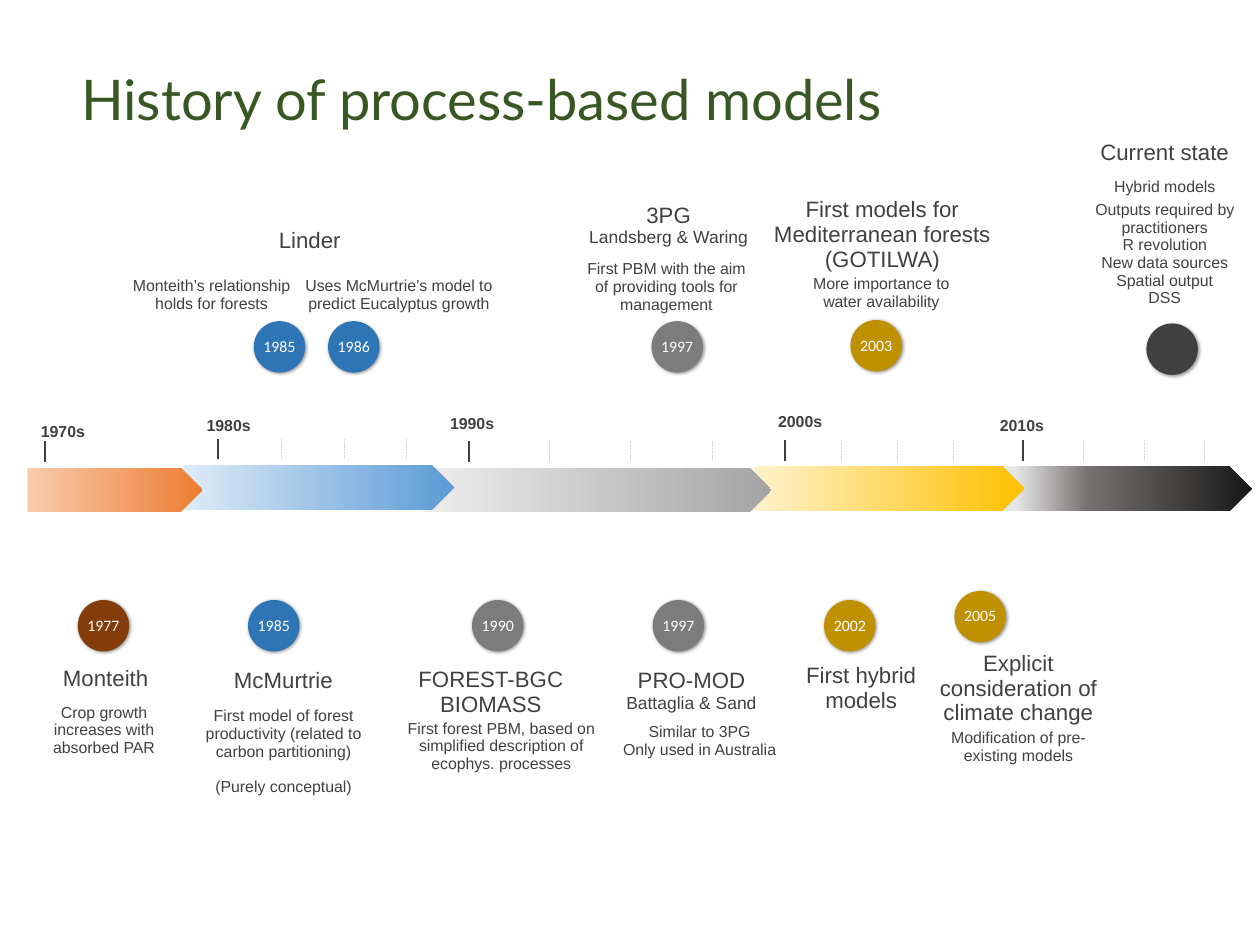
from dataclasses import dataclass

from lxml import etree
from pptx import Presentation
from pptx.dml.color import RGBColor
from pptx.enum.dml import MSO_LINE
from pptx.enum.shapes import MSO_CONNECTOR, MSO_SHAPE
from pptx.enum.text import MSO_ANCHOR, PP_ALIGN
from pptx.oxml import parse_xml
from pptx.oxml.ns import nsdecls, qn
from pptx.shapes.autoshape import Shape
from pptx.shapes.shapetree import SlideShapes
from pptx.text.text import TextFrame
from pptx.util import Inches, Pt

STRAIGHT = MSO_CONNECTOR.STRAIGHT
ARROW, OVAL = MSO_SHAPE.RIGHT_ARROW, MSO_SHAPE.OVAL
CENTER, LEFT = PP_ALIGN.CENTER, PP_ALIGN.LEFT
MIDDLE = MSO_ANCHOR.MIDDLE
DASH = MSO_LINE.SQUARE_DOT
CM_PER_INCH = 2.54
PAGE_WIDTH, PAGE_HEIGHT = Inches(28 / CM_PER_INCH), Inches(21 / CM_PER_INCH)


@dataclass(frozen=True)
class Theme:
    title_color: str = "385723"
    text: str = "404040"
    minor_tick: str = "D9D9D9"
    white: str = "FFFFFF"
    brown: str = "843C0B"
    blue: str = "2E75B6"
    gray: str = "7C7C7C"
    gold: str = "BF9000"
    title_font: str = "Lato"
    body_font: str = "Arial"
    year_font: str = "Calibri"
    title_size: float = 35.3
    heading_size: float = 14
    author_size: float = 11
    body_size: float = 10
    line_spacing: float = 0.93


THEME = Theme()


@dataclass(frozen=True)
class Line:
    text: str
    size: float = THEME.body_size
    bold: bool = False
    new_paragraph: bool = False
    space_before: float = 0
    font: str = THEME.body_font
    color: str = THEME.text


@dataclass(frozen=True)
class Caption:
    left: float
    top: float
    width: float
    height: float
    lines: list[Line]


@dataclass(frozen=True)
class Milestone:
    left: float
    top: float
    color: str
    year: str = ""


@dataclass(frozen=True)
class Decade:
    name: str
    label_left: float
    label_top: float
    left: float
    top: float
    width: float
    stops: list[tuple[int, str]]
    first_tick: float
    tick_gap: float = 0


def heading(*texts: str) -> list[Line]:
    return [Line(text, THEME.heading_size) for text in texts]


def body(*texts: str) -> list[Line]:
    return [Line(text) for text in texts]


def author(text: str, new_paragraph: bool = False) -> Line:
    return Line(text, THEME.author_size, new_paragraph=new_paragraph)


DECADES = [
    Decade("1970s", 0.24, 3.7, 0.24, 4.09, 1.53, [(0, "F8CBAD"), (100, "ED7D31")], 0.39),
    Decade("1980s", 1.69, 3.65, 1.61, 4.07, 2.36, [(0, "DEEBF7"), (100, "5B9BD5")], 1.91, 0.55),
    Decade("1990s", 3.82, 3.63, 3.71, 4.09, 3.04, [(0, "EDEDED"), (100, "A5A5A5")], 4.1, 0.71),
    Decade("2000s", 6.69, 3.62, 6.6, 4.08, 2.36, [(0, "FFF2CC"), (100, "FFC000")], 6.87, 0.49),
    Decade("2010s", 8.63, 3.65, 8.65, 4.08, 2.3,
           [(10, "E7E6E6"), (38, "767171"), (100, "181717")], 8.95, 0.53),
]

MILESTONES = [
    Milestone(2.22, 2.81, THEME.blue, "1985"),
    Milestone(2.87, 2.81, THEME.blue, "1986"),
    Milestone(5.7, 2.81, THEME.gray, "1997"),
    Milestone(7.44, 2.8, THEME.gold, "2003"),
    Milestone(10.03, 2.83, THEME.text),
    Milestone(0.68, 5.25, THEME.brown, "1977"),
    Milestone(2.17, 5.25, THEME.blue, "1985"),
    Milestone(4.13, 5.25, THEME.gray, "1990"),
    Milestone(5.71, 5.25, THEME.gray, "1997"),
    Milestone(7.21, 5.25, THEME.gold, "2002"),
    Milestone(8.35, 5.17, THEME.gold, "2005"),
]

CAPTIONS = [
    Caption(2, 2, 1.42, 0.22, heading("Linder")),
    Caption(1.14, 2.43, 1.42, 0.31, body("Monteith’s relationship", "holds for forests")),
    Caption(2.66, 2.43, 1.66, 0.31, body("Uses McMurtrie’s model to predict Eucalyptus growth")),
    Caption(5.14, 1.78, 1.42, 0.39, heading("3PG") + [author("Landsberg & Waring")]),
    Caption(5.12, 2.28, 1.42, 0.47,
            body("First PBM with the aim of providing tools for management")),
    Caption(6.76, 1.73, 1.92, 0.66,
            heading("First models for Mediterranean forests", "(GOTILWA)")),
    Caption(7, 2.41, 1.42, 0.31, body("More importance to water availability")),
    Caption(9.37, 1.23, 1.64, 0.22, heading("Current state")),
    Caption(9.37, 1.56, 1.64, 0.16, body("Hybrid models")),
    Caption(9.37, 1.76, 1.64, 0.93,
            body("Outputs required by practitioners", "R revolution", "New data sources",
                 "Spatial output", "DSS")),
    Caption(0.34, 5.83, 1.17, 0.22, heading("Monteith")),
    Caption(0.41, 6.16, 1, 0.47, body("Crop growth increases with absorbed PAR")),
    Caption(1.77, 5.85, 1.42, 0.22, heading("McMurtrie")),
    Caption(1.77, 6.19, 1.42, 0.78,
            body("First model of forest productivity (related to carbon partitioning)")
            + [Line("(Purely conceptual)", new_paragraph=True, space_before=11)]),
    Caption(3.41, 5.84, 1.77, 0.44, heading("FOREST-BGC", "BIOMASS")),
    Caption(3.5, 6.3, 1.77, 0.47,
            body("First forest PBM, based on simplified description of ecophys. processes")),
    Caption(5.34, 5.85, 1.42, 0.39,
            heading("PRO-MOD") + [author("Battaglia & Sand", new_paragraph=True)]),
    Caption(5.41, 6.33, 1.42, 0.31, body("Similar to 3PG", "Only used in Australia")),
    Caption(6.56, 5.81, 1.95, 0.44, heading("First hybrid", "models")),
    Caption(8.2, 5.7, 1.42, 0.66, heading("Explicit consideration of climate change")),
    Caption(8.2, 6.38, 1.42, 0.31, body("Modification of pre-existing models")),
]


def write_lines(frame: TextFrame, lines: list[Line], align: PP_ALIGN = CENTER) -> None:
    frame.margin_left = frame.margin_right = frame.margin_top = frame.margin_bottom = 0
    paragraph = frame.paragraphs[0]
    for index, line in enumerate(lines):
        if line.new_paragraph:
            paragraph = frame.add_paragraph()
            paragraph.space_before = Pt(line.space_before)
        elif index:
            paragraph.add_line_break()
        paragraph.alignment = align
        paragraph.line_spacing = THEME.line_spacing
        run = paragraph.add_run()
        run.text = line.text
        run.font.name, run.font.size, run.font.bold = line.font, Pt(line.size), line.bold
        run.font.color.rgb = RGBColor.from_string(line.color)


def add_caption(shapes: SlideShapes, caption: Caption) -> None:
    box = shapes.add_textbox(Inches(caption.left), Inches(caption.top),
                             Inches(caption.width), Inches(caption.height))
    box.text_frame.word_wrap = True
    write_lines(box.text_frame, caption.lines)


def add_plain_shape(shapes: SlideShapes, kind: MSO_SHAPE, left: float, top: float,
                    width: float, height: float) -> Shape:
    shape = shapes.add_shape(kind, Inches(left), Inches(top), Inches(width), Inches(height))
    shape.shadow.inherit = False
    shape.line.fill.background()
    return shape


def add_milestone(shapes: SlideShapes, milestone: Milestone) -> None:
    circle = add_plain_shape(shapes, OVAL, milestone.left, milestone.top, 0.45, 0.45)
    circle.fill.solid()
    circle.fill.fore_color.rgb = RGBColor.from_string(milestone.color)
    circle._element.spPr.find(qn("a:effectLst")).append(parse_xml(
        f'<a:outerShdw {nsdecls("a")} blurRad="25400" dist="12700" dir="2700000">'
        '<a:srgbClr val="000000"><a:alpha val="40000"/></a:srgbClr></a:outerShdw>'))
    if milestone.year:
        circle.text_frame.vertical_anchor = MIDDLE
        write_lines(circle.text_frame,
                    [Line(milestone.year, font=THEME.year_font, color=THEME.white)])


def add_tick(shapes: SlideShapes, x: float, top: float, major: bool) -> None:
    tick = shapes.add_connector(STRAIGHT, Inches(x), Inches(top), Inches(x), Inches(top + 0.18))
    tick.line.color.rgb = RGBColor.from_string(THEME.text if major else THEME.minor_tick)
    tick.line.width = Pt(1.25 if major else 0.5)
    if not major:
        tick.line.dash_style = DASH
    etree.SubElement(tick._element.spPr, qn("a:effectLst"))


def add_decade(shapes: SlideShapes, decade: Decade) -> None:
    arrow = add_plain_shape(shapes, ARROW, decade.left, decade.top, decade.width, 0.39)
    arrow.adjustments[0], arrow.adjustments[1] = 1, 0.5
    arrow.fill.gradient()
    arrow.fill.gradient_angle = 0
    stop_list = arrow._element.spPr.find(qn("a:gradFill")).find(qn("a:gsLst"))
    stop_list.clear()
    for percent, color in decade.stops:
        stop = etree.SubElement(stop_list, qn("a:gs"), pos=str(percent * 1000))
        etree.SubElement(stop, qn("a:srgbClr"), val=color)
    for index in range(4 if decade.tick_gap else 1):
        add_tick(shapes, decade.first_tick + index * decade.tick_gap, decade.top - 0.23, index == 0)
    add_caption(shapes, Caption(decade.label_left, decade.label_top, 0.62, 0.26,
                                [Line(decade.name, bold=True)]))


def main() -> None:
    deck = Presentation()
    deck.slide_width, deck.slide_height = PAGE_WIDTH, PAGE_HEIGHT
    shapes = deck.slides.add_slide(deck.slide_layouts[6]).shapes
    title = shapes.add_textbox(Inches(0.71), Inches(0.62), Inches(7.2), Inches(0.56))
    title.text_frame.word_wrap = False
    write_lines(title.text_frame, [Line("History of process-based models", THEME.title_size,
                font=THEME.title_font, color=THEME.title_color)], LEFT)
    for decade in reversed(DECADES):
        add_decade(shapes, decade)
    for milestone in MILESTONES:
        add_milestone(shapes, milestone)
    for caption in CAPTIONS:
        add_caption(shapes, caption)
    deck.save("out.pptx")


if __name__ == "__main__":
    main()
